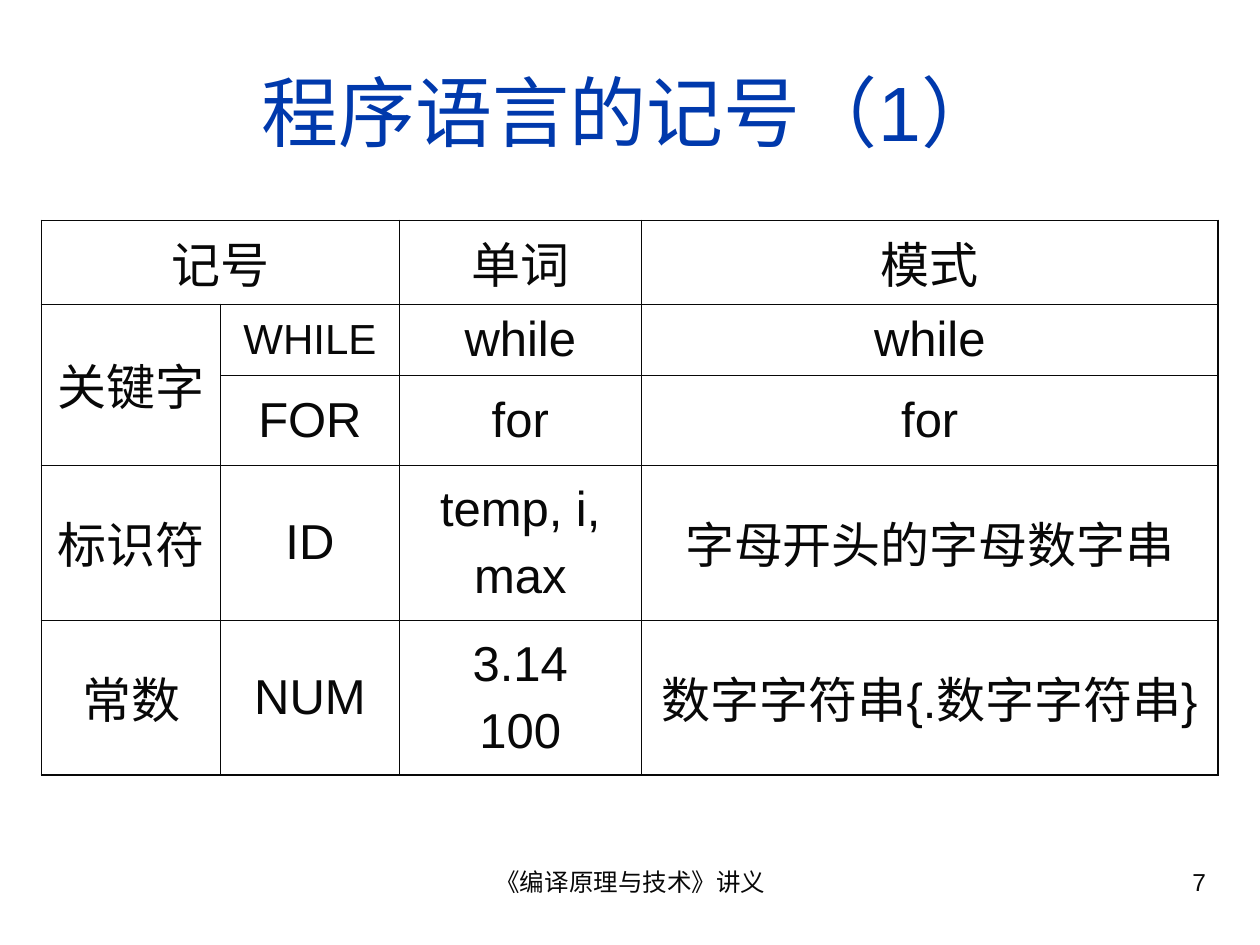
import pptx
import pptx.util
import pptx.dml.color
import pptx.enum.text
from lxml import etree

COLORS = {"title": "0039AC", "ink": "080808"}
FONT = "Arial"
TITLE = "程序语言的记号（1）"
ROWS = [
    ["记号", "", "单词", "模式"],
    ["关键字", "WHILE", "while", "while"],
    ["", "FOR", "for", "for"],
    ["标识符", "ID", "temp, i,\nmax", "字母开头的字母数字串"],
    ["常数", "NUM", "3.14\n100", "数字字符串{.数字字符串}"],
]
MERGES = [((0, 0), (0, 1)), ((1, 0), (2, 0))]
SIZES = {"WHILE": 24}
COL_WIDTHS = [1.42, 1.42, 1.92, 4.58]
ROW_HEIGHTS = [0.66, 0.57, 0.71, 1.23, 1.23]
MARGIN = 0.33
WIDTH, HEIGHT = 10, 7.5
CONTENT = WIDTH - 2 * MARGIN
INNER, OUTER = 0.45, 1.08

ALIGN = pptx.enum.text.PP_ALIGN
MIDDLE = pptx.enum.text.MSO_ANCHOR.MIDDLE
FOOTERS = [
    ("《编译原理与技术》讲义", 3.42, 3.17, ALIGN.CENTER),
    ("7", WIDTH - MARGIN - 2.5, 2.5, ALIGN.RIGHT),
]


def inches(*values):
    return [pptx.util.Inches(v) for v in values]


def write(tf, text, size, color="ink", align=ALIGN.CENTER, before=0):
    tf.text = text
    for p in tf.paragraphs:
        p.alignment = align
        p.space_before = pptx.util.Pt(before)
        for r in p.runs:
            r.font.size = pptx.util.Pt(size)
            r.font.name = FONT
            r.font.color.rgb = pptx.dml.color.RGBColor.from_string(COLORS[color])


def set_borders(cell, widths):
    tcPr = cell._tc.get_or_add_tcPr()
    for side in "LRTB":
        ln = etree.SubElement(tcPr, pptx.oxml.ns.qn(f"a:ln{side}"),
                              w=str(pptx.util.Pt(widths[side])))
        fill = etree.SubElement(ln, pptx.oxml.ns.qn("a:solidFill"))
        etree.SubElement(fill, pptx.oxml.ns.qn("a:srgbClr"), val=COLORS["ink"])


def add_title(s):
    title = s.shapes.title
    title.left, title.top, title.width, title.height = inches(MARGIN, 0.25, CONTENT, 1.25)
    title.text_frame.vertical_anchor = MIDDLE
    write(title.text_frame, TITLE, 44, "title")


def add_token_table(s):
    n_rows, n_cols = len(ROWS), len(COL_WIDTHS)
    table = s.shapes.add_table(
        n_rows, n_cols, *inches(MARGIN, 1.75, CONTENT, sum(ROW_HEIGHTS))).table
    table.first_row = table.horz_banding = False
    for column, width in zip(table.columns, COL_WIDTHS):
        column.width = pptx.util.Inches(width)
    for row, height in zip(table.rows, ROW_HEIGHTS):
        row.height = pptx.util.Inches(height)
    for first, last in MERGES:
        table.cell(*first).merge(table.cell(*last))
    for i, texts in enumerate(ROWS):
        for j, text in enumerate(texts):
            cell = table.cell(i, j)
            edges = {"L": j == 0, "R": j == n_cols - 1,
                     "T": i == 0, "B": i == n_rows - 1}
            set_borders(cell, {k: OUTER if edge else INNER for k, edge in edges.items()})
            cell.fill.background()
            if cell.is_spanned:
                continue
            cell.vertical_anchor = MIDDLE
            size = SIZES.get(text, 28)
            write(cell.text_frame, text, size, before=size // 4)


def add_footers(s):
    for text, left, width, align in FOOTERS:
        tf = s.shapes.add_textbox(*inches(left, 6.83, width, 0.52)).text_frame
        tf.word_wrap = True
        write(tf, text, 14, align=align)


def main():
    prs = pptx.Presentation()
    prs.slide_width, prs.slide_height = inches(WIDTH, HEIGHT)
    s = prs.slides.add_slide(prs.slide_layouts[5])
    add_title(s)
    add_token_table(s)
    add_footers(s)
    prs.save("out.pptx")


if __name__ == "__main__":
    main()
